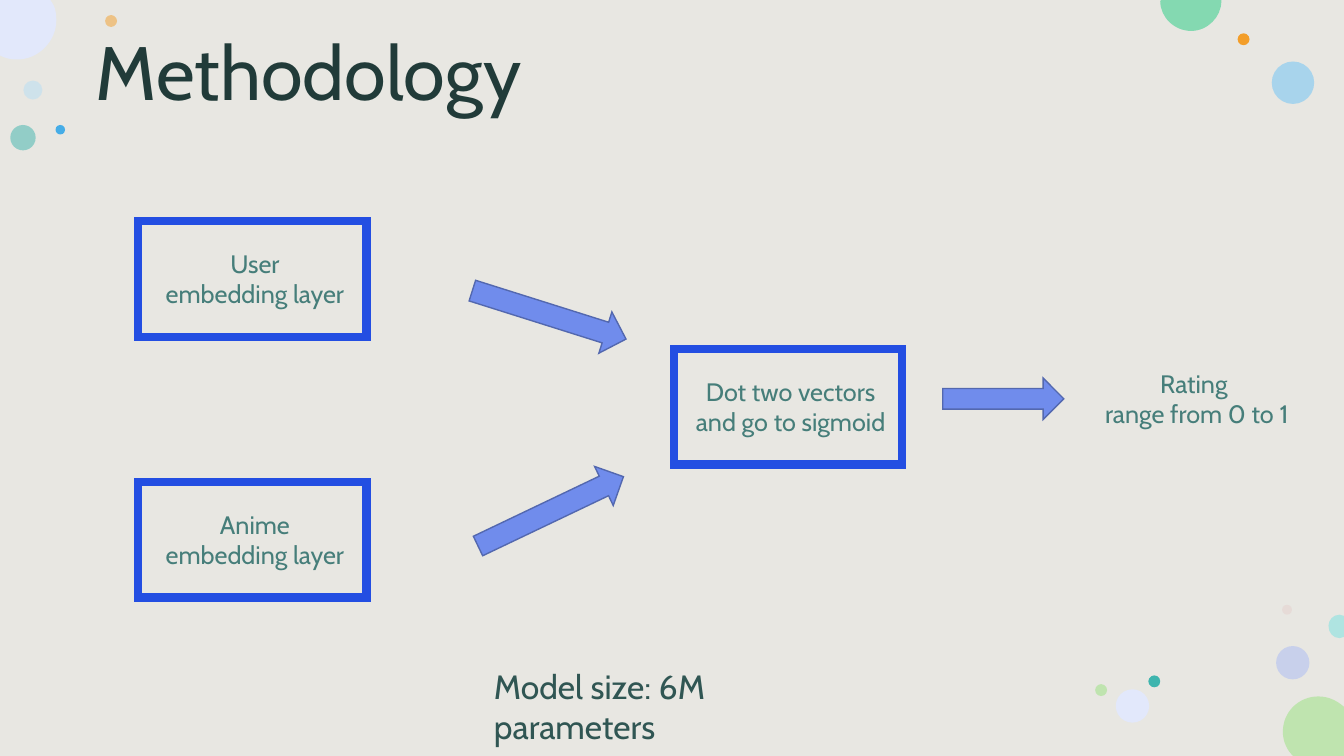
from lxml import etree
from pptx import Presentation
from pptx.dml.color import RGBColor
from pptx.enum.shapes import MSO_SHAPE as Shape
from pptx.enum.text import MSO_ANCHOR as Anchor, PP_ALIGN as Align
from pptx.oxml.ns import qn
from pptx.util import Cm, Pt

WIDTH, HEIGHT = 33.87, 19.05
BOX_WIDTH, BOX_HEIGHT = 5.76, 2.92
FONT = "Cabin"
BACKGROUND = "E8E7E2"
BOX_LINE = "234EE2"
ARROW_FILL, ARROW_LINE = "708CEC", "5368AF"
TITLE_COLOR, LABEL_COLOR, NOTE_COLOR = "213B39", "467E7A", "305653"

DOTS = [
    (0.59, 2.03, 0.48, "B5DEF5", 50),
    (2.65, 0.38, 0.3, "F39E29", 50),
    (32.16, 16.28, 0.84, "A9BAF4", 50),
    (0.26, 3.15, 0.64, "3EB5AE", 50),
    (32.05, 1.55, 1.07, "90CEF1", 72),
    (31.19, 0.84, 0.3, "F39E29", 100),
    (32.31, 15.24, 0.25, "E3BEBE", 28),
    (28.94, 17.02, 0.3, "3EB5AE", 100),
    (28.12, 17.37, 0.84, "E2E8FB", 100),
    (27.6, 17.24, 0.3, "BFE4AF", 100),
    (1.4, 3.15, 0.24, "46ADE7", 100),
]
EDGE_CIRCLES = [
    ("BFE4AF", [
        (33.22, 17.55), (33.48, 17.55, 33.68, 17.65, 33.87, 17.81), (33.87, 17.83),
        (33.87, 19.05), (32.59, 19.05), (32.54, 19),
        (32.41, 18.85, 32.33, 18.65, 32.33, 18.44),
        (32.33, 17.93, 32.74, 17.55, 33.22, 17.55),
    ]),
    ("E2E8FB", [
        (0, 0), (1.27, 0), (1.35, 0.13), (1.4, 0.23, 1.42, 0.36, 1.42, 0.51),
        (1.42, 1.04, 0.97, 1.5, 0.43, 1.5), (0.28, 1.5, 0.15, 1.47, 0.05, 1.42), (0, 1.4),
    ]),
    ("84D9B1", [
        (29.26, 0), (30.78, 0), (30.78, 0.03), (30.78, 0.43, 30.43, 0.78, 30.02, 0.78),
        (29.59, 0.78, 29.24, 0.43, 29.24, 0.03),
    ]),
    ("AFE4E1", [
        (33.76, 15.49), (33.87, 15.52), (33.87, 16.05), (33.76, 16.08),
        (33.6, 16.08, 33.48, 15.95, 33.48, 15.77), (33.48, 15.62, 33.6, 15.49, 33.76, 15.49),
    ]),
]
STEPS = [
    (3.48, 5.57, "User\nembedding layer"),
    (3.48, 12.14, "Anime\nembedding layer"),
    (16.98, 8.79, "Dot two vectors and go to sigmoid"),
]
ARROWS = [
    (11.81, 7.39, 4.06, 1.09, 17.5),
    (11.85, 12.34, 4.06, 1.09, 334.5),
    (23.76, 9.53, 3.05, 1.04, 0),
]


def color(hex_code):
    return RGBColor.from_string(hex_code)


def style(shape, fill=None, line=None, line_width=1, opacity=100):
    shape.shadow.inherit = False
    if fill:
        shape.fill.solid()
        shape.fill.fore_color.rgb = color(fill)
        if opacity < 100:
            fill_color = shape.fill._xPr.find(qn("a:solidFill"))[0]
            etree.SubElement(fill_color, qn("a:alpha")).set("val", str(opacity * 1000))
    else:
        shape.fill.background()
    if line:
        shape.line.color.rgb = color(line)
        shape.line.width = Pt(line_width)
        outline = shape._element.spPr.find(qn("a:ln"))
        etree.SubElement(outline, qn("a:miter")).set("lim", "800000")
    else:
        shape.line.fill.background()


def add_shape(slide, kind, left, top, width, height, **look):
    shape = slide.shapes.add_shape(kind, Cm(left), Cm(top), Cm(width), Cm(height))
    style(shape, **look)
    return shape


def add_text(slide, text, left, top, width, height, size=18, text_color=LABEL_COLOR,
             align=Align.CENTER, anchor=Anchor.TOP, spacing=None):
    box = slide.shapes.add_textbox(Cm(left), Cm(top), Cm(width), Cm(height))
    frame = box.text_frame
    frame.word_wrap = True
    frame.vertical_anchor = anchor
    frame.text = text
    for paragraph in frame.paragraphs:
        paragraph.alignment = align
        paragraph.line_spacing = spacing
        font = paragraph.runs[0].font
        font.name, font.size = FONT, Pt(size)
        font.color.rgb = color(text_color)


def add_edge_circle(slide, fill, outline):
    corners = [(Cm(segment[-2]), Cm(segment[-1])) for segment in outline]
    builder = slide.shapes.build_freeform(*corners[0])
    builder.add_line_segments(corners[1:], close=True)
    shape = builder.convert_to_shape()
    style(shape, fill=fill)
    lines = list(shape._element.iter(qn("a:lnTo")))
    for line, segment in zip(lines, outline[1:]):
        if len(segment) == 6:
            line.tag = qn("a:cubicBezTo")
            for index in (0, 1):
                x, y = segment[2 * index:2 * index + 2]
                point = etree.Element(qn("a:pt"))
                point.set("x", str(Cm(x) - shape.left))
                point.set("y", str(Cm(y) - shape.top))
                line.insert(index, point)


def main():
    presentation = Presentation()
    presentation.slide_width, presentation.slide_height = Cm(WIDTH), Cm(HEIGHT)
    slide = presentation.slides.add_slide(presentation.slide_layouts[6])
    slide.background.fill.solid()
    slide.background.fill.fore_color.rgb = color(BACKGROUND)

    for left, top, diameter, fill, opacity in DOTS:
        add_shape(slide, Shape.OVAL, left, top, diameter, diameter, fill=fill, opacity=opacity)
    for fill, outline in EDGE_CIRCLES:
        add_edge_circle(slide, fill, outline)

    add_text(slide, "Methodology", 2.16, 0.08, 29.62, 3.68, size=54, text_color=TITLE_COLOR,
             align=Align.LEFT, anchor=Anchor.MIDDLE, spacing=0.9)
    for left, top, label in STEPS:
        add_shape(slide, Shape.RECTANGLE, left, top, BOX_WIDTH, BOX_HEIGHT,
                  line=BOX_LINE, line_width=6)
        add_text(slide, label, left + 0.14, top + 0.56, 5.61, 1.8)
    for left, top, width, height, angle in ARROWS:
        arrow = add_shape(slide, Shape.RIGHT_ARROW, left, top, width, height,
                          fill=ARROW_FILL, line=ARROW_LINE)
        arrow.rotation = angle
    add_text(slide, "Rating \nrange from 0 to 1", 27.43, 9.15, 5.46, 1.8)
    add_text(slide, "Model size: 6M parameters", 12.2, 16.65, 9.83, 1.27, size=24,
             text_color=NOTE_COLOR, align=Align.LEFT)

    presentation.save("out.pptx")


if __name__ == "__main__":
    main()
